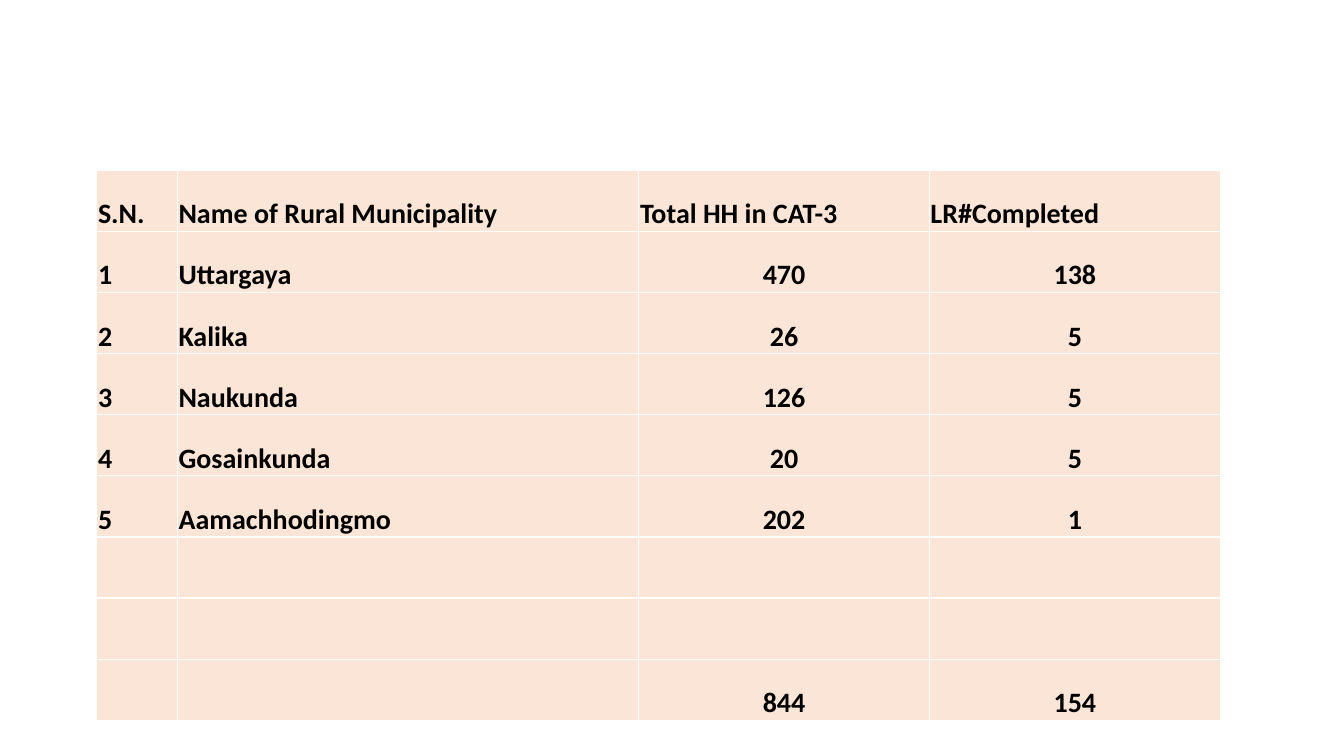
"""Build a slide with a table of CAT-3 households by rural municipality."""
from lxml.etree import SubElement
from pptx import Presentation
from pptx.dml.color import RGBColor
from pptx.enum.text import MSO_ANCHOR, PP_ALIGN
from pptx.oxml.ns import qn
from pptx.util import Cm, Pt

ROWS = [
    ("S.N.", "Name of Rural Municipality", "Total HH in CAT-3", "LR#Completed"),
    ("1", "Uttargaya", "470", "138"),
    ("2", "Kalika", "26", "5"),
    ("3", "Naukunda", "126", "5"),
    ("4", "Gosainkunda", "20", "5"),
    ("5", "Aamachhodingmo", "202", "1"),
    ("", "", "", ""),
    ("", "", "", ""),
    ("", "", "844", "154"),
]
COL_WIDTHS = (2.03, 11.63, 7.32, 7.34)
ROW_HEIGHT = 1.54
LEFT, TOP = 2.44, 4.29

PEACH = RGBColor(0xFB, 0xE5, 0xD6)
BLACK = RGBColor(0, 0, 0)
WHITE = RGBColor(0xFF, 0xFF, 0xFF)

FONT = {"name": "Calibri", "size": Pt(20), "bold": True}
CELL = {
    "vertical_anchor": MSO_ANCHOR.BOTTOM,
    "margin_left": Cm(0.03),
    "margin_right": Cm(0.03),
    "margin_top": Cm(0.03),
    "margin_bottom": Cm(0),
}


def set_format(target, values):
    for name, value in values.items():
        setattr(target, name, value)


def add_borders(cell):
    tc_pr = cell._tc.get_or_add_tcPr()
    for side in ("a:lnL", "a:lnR", "a:lnT", "a:lnB"):
        ln = SubElement(tc_pr, qn(side), w=str(Pt(1)))
        fill = SubElement(ln, qn("a:solidFill"))
        SubElement(fill, qn("a:srgbClr"), val=str(WHITE))


def fill_cell(cell, text, centred):
    add_borders(cell)
    set_format(cell, CELL)
    cell.fill.solid()
    cell.fill.fore_color.rgb = PEACH
    p = cell.text_frame.paragraphs[0]
    p.alignment = PP_ALIGN.CENTER if centred else PP_ALIGN.LEFT
    if text:
        r = p.add_run()
        r.text = text
        set_format(r.font, FONT)
        r.font.color.rgb = BLACK


def main():
    prs = Presentation()
    prs.slide_width, prs.slide_height = Cm(33.87), Cm(19.05)
    s = prs.slides.add_slide(prs.slide_layouts[6])
    table = s.shapes.add_table(
        len(ROWS), len(COL_WIDTHS), Cm(LEFT), Cm(TOP),
        Cm(sum(COL_WIDTHS)), Cm(ROW_HEIGHT * len(ROWS))).table
    set_format(table, {"first_row": False, "horz_banding": False})
    for column, width in zip(table.columns, COL_WIDTHS):
        column.width = Cm(width)
    for i, values in enumerate(ROWS):
        table.rows[i].height = Cm(ROW_HEIGHT)
        for j, text in enumerate(values):
            fill_cell(table.cell(i, j), text, centred=i > 0 and j > 1)
    prs.save("out.pptx")


if __name__ == "__main__":
    main()
